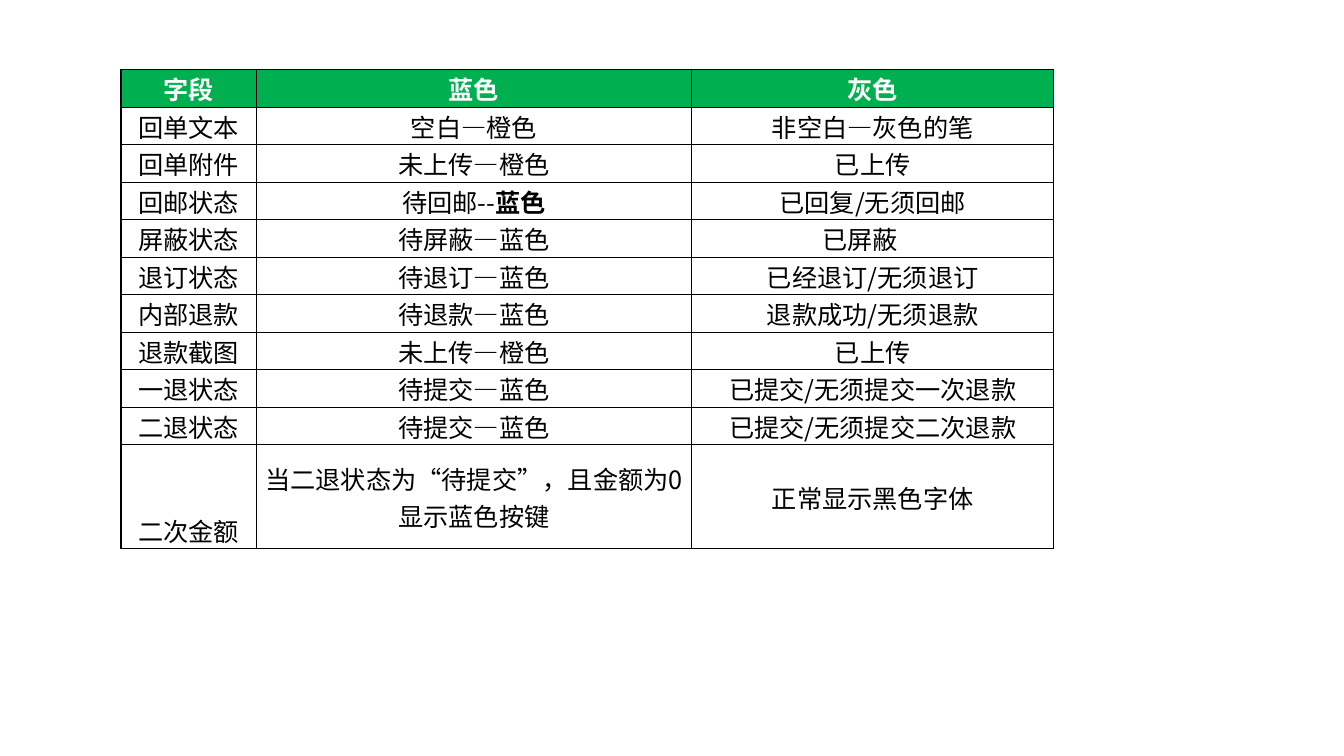
import pptx
import pptx.dml.color
import pptx.enum.text
import pptx.oxml
import pptx.oxml.ns
import pptx.util

GREEN = pptx.dml.color.RGBColor(0x00, 0xB0, 0x50)
WHITE = pptx.dml.color.RGBColor(0xFF, 0xFF, 0xFF)
BLACK = pptx.dml.color.RGBColor(0x00, 0x00, 0x00)
FONT = "Noto Sans CJK SC"
MIDDLE = pptx.enum.text.MSO_ANCHOR.MIDDLE
BOTTOM = pptx.enum.text.MSO_ANCHOR.BOTTOM

TABLE_BOX = (1.2, 0.69, 9.25, 4.53)
COLUMN_SHARES = (0.145, 0.467, 0.388)
ROW_HEIGHT = 0.35
THIN, THICK = 0.5, 1
THICK_BELOW = (3, 5, 10)
MIDDLE_LABELS = ("内部退款", "退款截图")
BOLD_ENDING = (3, 1)

ROWS = (
    ("字段", "蓝色", "灰色"),
    ("回单文本", "空白—橙色", "非空白—灰色的笔"),
    ("回单附件", "未上传—橙色", "已上传"),
    ("回邮状态", "待回邮--蓝色", "已回复/无须回邮"),
    ("屏蔽状态", "待屏蔽—蓝色", "已屏蔽　"),
    ("退订状态", "待退订—蓝色", "已经退订/无须退订"),
    ("内部退款", "待退款—蓝色", "退款成功/无须退款"),
    ("退款截图", "未上传—橙色", "已上传"),
    ("一退状态", "待提交—蓝色", "已提交/无须提交一次退款"),
    ("二退状态", "待提交—蓝色", "已提交/无须提交二次退款"),
    ("二次金额", "当二退状态为“待提交”，且金额为0\n显示蓝色按键", "正常显示黑色字体"),
)


def write_text(paragraph, text, size=18, color=BLACK, bold=False):
    """Add text to a paragraph, with a line break at each newline."""
    paragraph.alignment = pptx.enum.text.PP_ALIGN.CENTER
    for index, line in enumerate(text.split("\n")):
        if index:
            paragraph.add_line_break()
        run = paragraph.add_run()
        run.text = line
        run.font.name = FONT
        run.font.size = pptx.util.Pt(size)
        run.font.bold = bold
        run.font.color.rgb = color
        east_asian = pptx.oxml.parse_xml(
            f'<a:ea {pptx.oxml.ns.nsdecls("a")} typeface="{FONT}"/>')
        run.font._element.find(pptx.oxml.ns.qn("a:latin")).addnext(east_asian)


def set_borders(cell, widths):
    """Draw the left, right, top and bottom borders in the given point widths."""
    properties = cell._tc.get_or_add_tcPr()
    for index, (side, width) in enumerate(zip("LRTB", widths)):
        border = pptx.oxml.parse_xml(
            f'<a:ln{side} {pptx.oxml.ns.nsdecls("a")} w="{pptx.util.Pt(width)}">'
            f'<a:solidFill><a:srgbClr val="{BLACK}"/></a:solidFill></a:ln{side}>')
        properties.insert(index, border)


def format_cell(cell, row, column):
    """Set the margins, anchor, fill and borders of a cell by its place."""
    cell.margin_left = cell.margin_right = cell.margin_top = pptx.util.Inches(0.01)
    cell.margin_bottom = 0
    is_bottom = row > 0 and column == 0 and ROWS[row][0] not in MIDDLE_LABELS
    cell.vertical_anchor = BOTTOM if is_bottom else MIDDLE
    if row == 0 or column == 0:
        cell.fill.solid()
        cell.fill.fore_color.rgb = WHITE if row else GREEN
    else:
        cell.fill.background()
    thick_sides = (column == 0, column == 2,
                   row == 0 or row - 1 in THICK_BELOW, row in THICK_BELOW)
    set_borders(cell, [THICK if thick else THIN for thick in thick_sides])


def add_status_table(slide, box):
    """Place the table of field states in the given box."""
    left, top, width, height = box
    shape = slide.shapes.add_table(
        len(ROWS), len(COLUMN_SHARES), *(pptx.util.Inches(length) for length in box))
    table = shape.table
    table.first_row = table.horz_banding = False
    for column, share in zip(table.columns, COLUMN_SHARES):
        column.width = pptx.util.Inches(width * share)
    for row in table.rows:
        row.height = pptx.util.Inches(ROW_HEIGHT)
    table.rows[len(ROWS) - 1].height = pptx.util.Inches(
        height - ROW_HEIGHT * (len(ROWS) - 1))
    for row, texts in enumerate(ROWS):
        for column, text in enumerate(texts):
            cell = table.cell(row, column)
            format_cell(cell, row, column)
            paragraph = cell.text_frame.paragraphs[0]
            if (row, column) == BOLD_ENDING:
                write_text(paragraph, text[:-2])
                write_text(paragraph, text[-2:], bold=True)
            else:
                write_text(paragraph, text, color=BLACK if row else WHITE, bold=row == 0)


def main():
    """Build and save the presentation."""
    presentation = pptx.Presentation()
    presentation.slide_width = pptx.util.Inches(13.33)
    presentation.slide_height = pptx.util.Inches(7.5)
    slide = presentation.slides.add_slide(presentation.slide_layouts[6])
    add_status_table(slide, TABLE_BOX)
    presentation.save("out.pptx")


if __name__ == "__main__":
    main()
